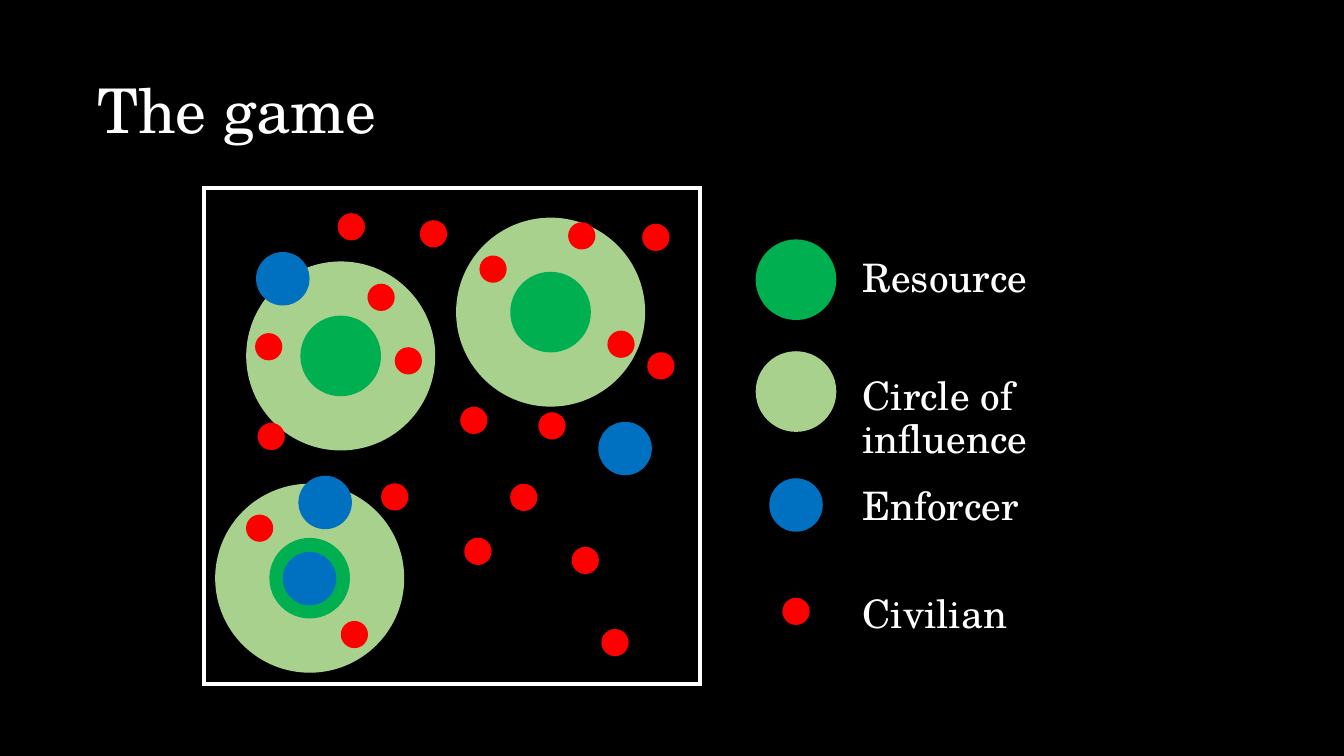
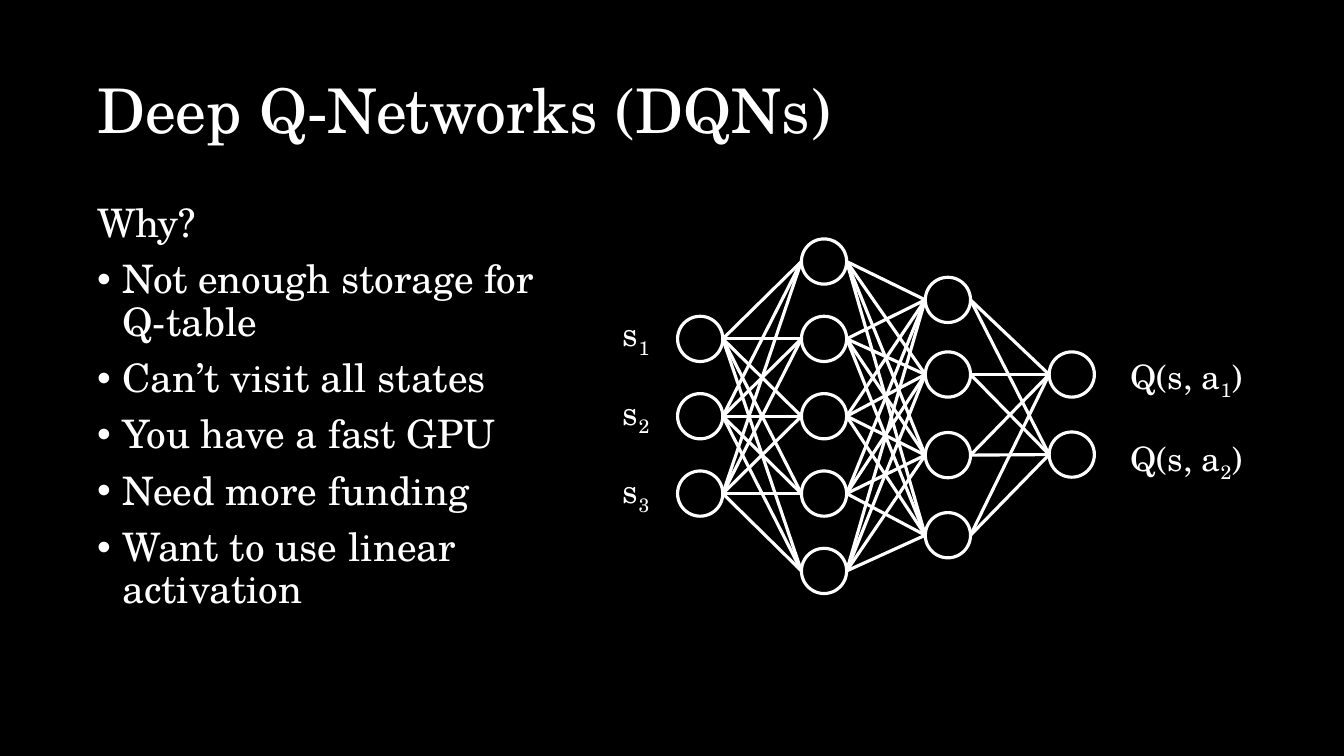
from itertools import product

from pptx import Presentation
from pptx.dml.color import RGBColor
from pptx.enum import shapes, text
from pptx.oxml import ns
from pptx.util import Pt
from lxml import etree

BLACK = RGBColor(0x00, 0x00, 0x00)
WHITE = RGBColor(0xFF, 0xFF, 0xFF)
GREEN = RGBColor(0x00, 0xB0, 0x50)
LIGHT_GREEN = RGBColor(0xA9, 0xD1, 0x8E)
BLUE = RGBColor(0x00, 0x70, 0xC0)
RED = RGBColor(0xFF, 0x00, 0x00)
FONT = "TeX Gyre Schola"
TITLE_SIZE, BODY_SIZE, LABEL_SIZE = 88, 56, 48
LEFT_MARGIN = 131.8
NETWORK_LINE = 4.5


def add_text(slide, box, paragraphs, size, line_spacing=0.9, space_before=0,
             align=text.PP_ALIGN.LEFT, anchor=text.MSO_ANCHOR.TOP):
    """Add a text box; underscores in a paragraph enclose a subscript."""
    frame = slide.shapes.add_textbox(*map(Pt, box)).text_frame
    frame.word_wrap = True
    frame.vertical_anchor = anchor
    for number, content in enumerate(paragraphs):
        paragraph = frame.add_paragraph() if number else frame.paragraphs[0]
        paragraph.alignment = align
        paragraph.line_spacing = line_spacing
        paragraph.space_before = Pt(space_before)
        for position, part in enumerate(content.split("_")):
            run = paragraph.add_run()
            run.text = part
            run.font.name = FONT
            run.font.size = Pt(size)
            run.font.color.rgb = WHITE
            if position % 2:
                run.font._element.set("baseline", "-25000")
    return frame


def add_centered_shape(slide, kind, center, size, fill=None, line_width=0):
    """Add an equal-sided shape around its center, filled or outlined in white."""
    x, y = center
    shape = slide.shapes.add_shape(
        kind, Pt(x - size / 2), Pt(y - size / 2), Pt(size), Pt(size))
    shape.shadow.inherit = False
    if fill is None:
        shape.fill.background()
        shape.line.color.rgb = WHITE
        shape.line.width = Pt(line_width)
        outline = shape._element.spPr.find(ns.qn("a:ln"))
        etree.SubElement(outline, ns.qn("a:miter"), lim="800000")
    else:
        shape.fill.solid()
        shape.fill.fore_color.rgb = fill
        shape.line.fill.background()


OVAL = shapes.MSO_SHAPE.OVAL
presentation = Presentation()
presentation.slide_width = Pt(1919.52)
presentation.slide_height = Pt(1080)

slides = []
for title in ("The game", "Deep Q-Networks (DQNs)"):
    slide = presentation.slides.add_slide(presentation.slide_layouts[6])
    slide.background.fill.solid()
    slide.background.fill.fore_color.rgb = BLACK
    add_text(slide, (LEFT_MARGIN, 57.6, 1656, 208.8), [title], TITLE_SIZE,
             anchor=text.MSO_ANCHOR.MIDDLE)
    slides.append(slide)
game_slide, network_slide = slides

# The game: board, pieces and legend
resources = [(486.6, 508.5), (442.3, 826), (786.4, 445.9)]
enforcers = [(892.8, 640.8), (403.9, 398.2), (442.1, 826.6), (464.4, 717.8)]
civilians = [
    (748.1, 710.6), (676.8, 600.5), (835.9, 800.6), (682.6, 787.7), (563.8, 709.9),
    (788.4, 608.4), (583.2, 515.5), (506.2, 906.5), (370.8, 754.6), (387.4, 623.5),
    (544.3, 424.8), (383.8, 495.4), (501.8, 324), (936.7, 339.1), (943.9, 522.7),
    (878.4, 918), (704.2, 384.5), (830.9, 337), (887, 491.8), (619.2, 334.1),
]
pieces = [
    (resources, 270, LIGHT_GREEN),
    (resources, 115.2, GREEN),
    (civilians, 38.9, RED),
    (enforcers, 76.4, BLUE),
]
add_centered_shape(game_slide, shapes.MSO_SHAPE.RECTANGLE, (645.8, 622.8), 708.5,
                   line_width=6)
for centers, diameter, color in pieces:
    for center in centers:
        add_centered_shape(game_slide, OVAL, center, diameter, color)

legend = [
    ("Resource", 399.6, 366.5, 115.2, GREEN),
    ("Circle of influence", 559.4, 535, 115.2, LIGHT_GREEN),
    ("Enforcer", 721.4, 691.9, 76.4, BLUE),
    ("Civilian", 873.4, 846, 38.9, RED),
]
for label, center_y, label_top, diameter, color in legend:
    add_centered_shape(game_slide, OVAL, (1136.9, center_y), diameter, color)
    add_text(game_slide, (1224.7, label_top, 470.9, 72.7), [label], BODY_SIZE,
             space_before=20)

# Deep Q-Networks: reasons
reasons = add_text(
    network_slide, (LEFT_MARGIN, 287.3, 642, 685.4),
    ["Why?", "Not enough storage for Q-table", "Can’t visit all states",
     "You have a fast GPU", "Need more funding", "Want to use linear activation"],
    BODY_SIZE, space_before=20)
for paragraph in reasons.paragraphs[1:]:
    properties = paragraph._p.get_or_add_pPr()
    properties.set("marL", str(Pt(36)))
    properties.set("indent", str(-Pt(36)))
    etree.SubElement(properties, ns.qn("a:buFont"), typeface="Arial")
    etree.SubElement(properties, ns.qn("a:buChar"), char="•")

# Deep Q-Networks: fully connected layers
NODE = 64.6
LAYER_STEP, NODE_STEP = 176.9, 110.5
FIRST_LAYER_X, MIDDLE_Y = 1000, 594.6
layer_heights = [
    [MIDDLE_Y + NODE_STEP * step for step in range(-1, 2)],
    [MIDDLE_Y + NODE_STEP * step for step in range(-2, 3)],
    [428.4, 535, 650.2, 764.6],
    [535, 649.4],
]
layers = [[(FIRST_LAYER_X + LAYER_STEP * index, y) for y in heights]
          for index, heights in enumerate(layer_heights)]
for layer, next_layer in zip(layers, layers[1:]):
    for (x1, y1), (x2, y2) in product(layer, next_layer):
        connector = network_slide.shapes.add_connector(
            shapes.MSO_CONNECTOR.STRAIGHT,
            Pt(x1 + NODE / 2), Pt(y1), Pt(x2 - NODE / 2), Pt(y2))
        connector.line.color.rgb = WHITE
        connector.line.width = Pt(NETWORK_LINE)
        etree.SubElement(connector._element.spPr, ns.qn("a:effectLst"))
for layer in layers:
    for center in layer:
        add_centered_shape(network_slide, OVAL, center, NODE, line_width=NETWORK_LINE)

label_columns = [
    (868.3, 443.7, 112.3, 80.6, 82.8, ["s_1", "s_2", "s_3"]),
    (1594.8, 504.7, 117.4, 199.4, 65.5, ["Q(s, a_1_)", "Q(s, a_2_)"]),
]
for left, top, step, width, height, labels in label_columns:
    for row, label in enumerate(labels):
        add_text(network_slide, (left, top + row * step, width, height), [label],
                 LABEL_SIZE, line_spacing=1.0, align=text.PP_ALIGN.CENTER)

presentation.save("out.pptx")
